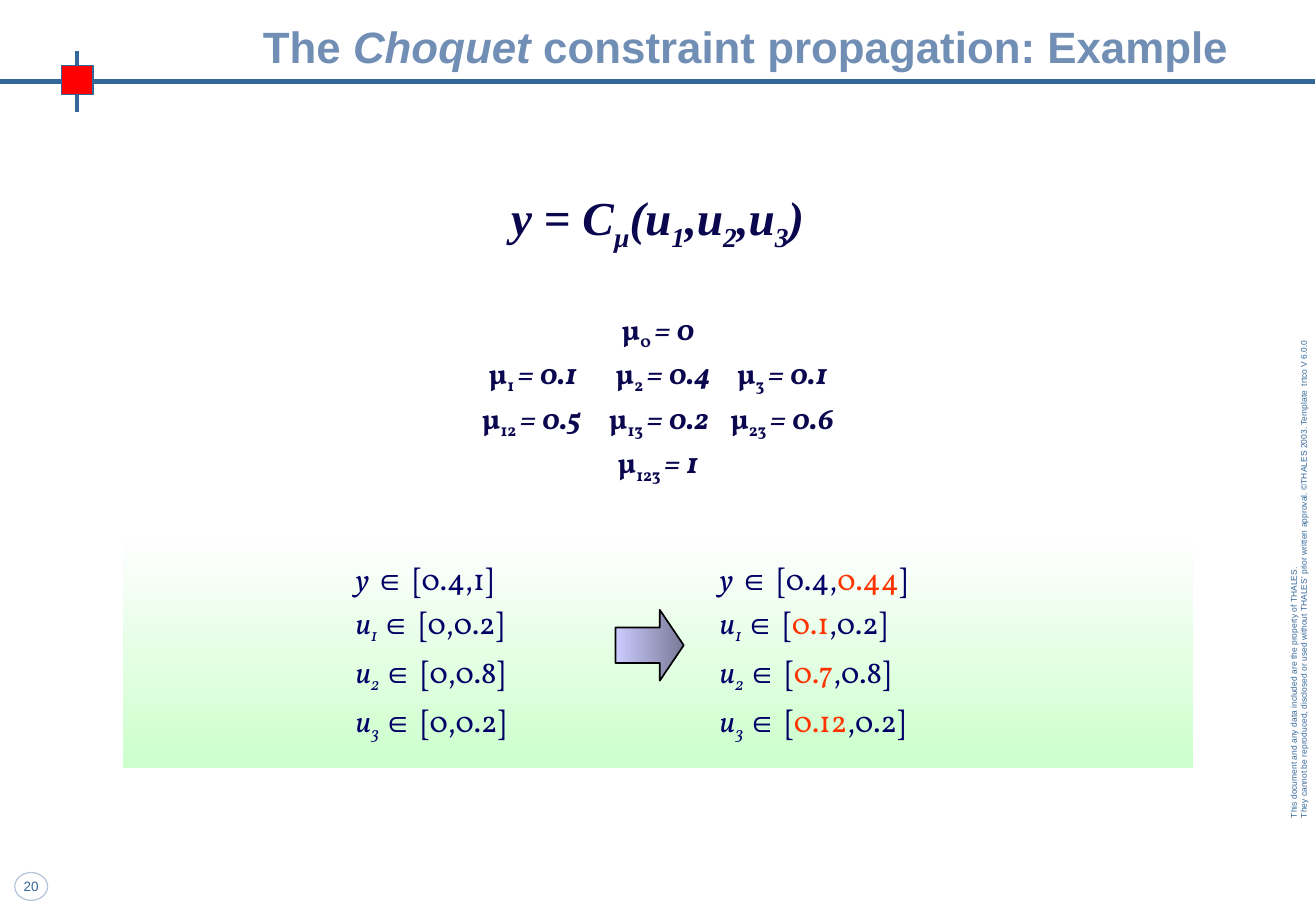
from lxml.etree import SubElement
from pptx import Presentation
from pptx.dml.color import RGBColor
from pptx.enum.shapes import MSO_CONNECTOR, MSO_SHAPE
from pptx.enum.text import MSO_ANCHOR, MSO_AUTO_SIZE, PP_ALIGN
from pptx.oxml.ns import qn
from pptx.util import Pt

WHITE = RGBColor(0xFE, 0xFE, 0xFE)
GREEN = RGBColor(0xCC, 0xFF, 0xCC)
LILAC = RGBColor(0xCC, 0xCC, 0xFF)
SLATE = RGBColor(0x79, 0x79, 0x98)
BLACK = RGBColor(0x00, 0x00, 0x00)
RED = RGBColor(0xFF, 0x00, 0x00)
ORANGE = RGBColor(0xFF, 0x33, 0x00)
STEEL = RGBColor(0x33, 0x66, 0x99)
PALE_STEEL = RGBColor(0xB6, 0xC5, 0xDA)
TITLE_BLUE = RGBColor(0x71, 0x8E, 0xB5)
INDIGO = RGBColor(0x0B, 0x07, 0x4F)
NAVY = RGBColor(0x00, 0x00, 0x66)

TAB_STEP = Pt(72)
SUBSCRIPT = {"baseline": -25000}
ITALIC = {"italic": True}
CAPACITIES = [
    [("0", "0")],
    [("1", "0.1"), ("2", "0.4"), ("3", "0.1")],
    [("12", "0.5"), ("13", "0.2"), ("23", "0.6")],
    [("123", "1")],
]
DOMAINS = [
    ("y", "", "[0.4,1]", ("[0.4,", "0.44", "]")),
    ("u", "1", "[0,0.2]", ("[", "0.1", ",0.2]")),
    ("u", "2", "[0,0.8]", ("[", "0.7", ",0.8]")),
    ("u", "3", "[0,0.2]", ("[", "0.12", ",0.2]")),
]
NOTICE = [
    "This document and any data included are the property of THALES.",
    "They cannot be reproduced, disclosed or used without THALES' prior written "
    "approval. ©THALES 2003. Template  trtco V 6.0.0",
]


def add_span(para, text, font="Arial", size=18, color=BLACK, bold=False,
             italic=False, baseline=0):
    span = para.add_run()
    span.text = text
    span.font.name = font
    span.font.size = Pt(size)
    span.font.bold = bold
    span.font.italic = italic
    span.font.color.rgb = color
    if baseline:
        span.font._element.set("baseline", str(baseline))


def write(box, lines, align=PP_ALIGN.LEFT, spacing=1.0, before=0,
          anchor=MSO_ANCHOR.TOP, **style):
    frame = box.text_frame
    frame.word_wrap = True
    frame.auto_size = MSO_AUTO_SIZE.NONE
    frame.vertical_anchor = anchor
    for index, line in enumerate(lines):
        para = frame.add_paragraph() if index else frame.paragraphs[0]
        para.alignment = align
        para.line_spacing = spacing
        para.space_before = Pt(before if index else 0)
        properties = para._p.get_or_add_pPr()
        properties.set("marL", "0")
        properties.set("indent", "0")
        properties.set("defTabSz", str(int(TAB_STEP)))
        SubElement(properties, qn("a:buNone"))
        for text, changes in line:
            add_span(para, text, **{**style, **changes})


def place(box, left, top, width, height):
    box.left, box.top = Pt(left), Pt(top)
    box.width, box.height = Pt(width), Pt(height)
    return box


def add_box(page, *place_at):
    return page.shapes.add_textbox(*map(Pt, place_at))


def add_line(page, start, end, width):
    line = page.shapes.add_connector(
        MSO_CONNECTOR.STRAIGHT, *map(Pt, (*start, *end)))
    line.line.color.rgb = STEEL
    line.line.width = Pt(width)
    SubElement(line._element.spPr, qn("a:effectLst"))


def add_figure(page, kind, place_at, fill=None, gradient=None, angle=0,
               line=None, width=0.75):
    figure = page.shapes.add_shape(kind, *map(Pt, place_at))
    figure.shadow.inherit = False
    if gradient:
        figure.fill.gradient()
        figure.fill.gradient_angle = angle
        for stop, color in zip(figure.fill.gradient_stops, gradient):
            stop.color.rgb = color
    elif fill:
        figure.fill.solid()
        figure.fill.fore_color.rgb = fill
    else:
        figure.fill.background()
    if line:
        figure.line.color.rgb = line
        figure.line.width = Pt(width)
    else:
        figure.line.fill.background()
    return figure


def add_frame(page):
    add_line(page, (45.5, 30.25), (45.5, 66.25), 2.25)
    add_line(page, (0, 48.25), (780, 48.25), 3)
    add_figure(page, MSO_SHAPE.RECTANGLE, (36.5, 39, 18.75, 17.25), fill=RED,
               line=STEEL)
    notice = add_box(page, 539.3, 251.3, 462, 19.4)
    notice.rotation = 270
    write(notice, [[(text, {})] for text in NOTICE], size=5, color=STEEL)
    number = add_figure(page, MSO_SHAPE.OVAL, (8.75, 517.25, 19.5, 16.5),
                        line=PALE_STEEL)
    frame = number.text_frame
    frame.margin_left = frame.margin_right = Pt(0)
    frame.margin_top = frame.margin_bottom = Pt(0)
    write(number, [[("20", {})]], align=PP_ALIGN.CENTER,
          anchor=MSO_ANCHOR.MIDDLE, size=8, color=STEEL)


def add_formula(page):
    spans = [("y = C", {}), ("µ", SUBSCRIPT), ("(u", {}), ("1", SUBSCRIPT),
             (",u", {}), ("2", SUBSCRIPT), (",u", {}), ("3", SUBSCRIPT), (")", {})]
    write(add_box(page, 258, 108, 264, 45), [spans], align=PP_ALIGN.CENTER,
          font="Times New Roman", size=28, color=INDIGO, bold=True, italic=True)


def capacity_line(row):
    spans = []
    for index, (subset, value) in enumerate(row):
        if index:
            spans.append((" \t ", ITALIC))
        spans += [("µ", {}), (subset + " ", SUBSCRIPT), ("= " + value, ITALIC)]
    return spans


def membership(name, subscript):
    spans = [(name if subscript else name + " ", ITALIC)]
    if subscript:
        spans.append((subscript + " ", {**ITALIC, **SUBSCRIPT}))
    return spans + [("∈ ", {"font": "Arial"})]


def domain_line(name, subscript, initial, reduced):
    before, changed, after = reduced
    return [*membership(name, subscript), (initial + "\t\t", {}),
            *membership(name, subscript), (before, {}),
            (changed, {"color": ORANGE}), (after, {})]


def add_propagation(page):
    add_figure(page, MSO_SHAPE.RECTANGLE, (72.75, 319, 635, 136),
               gradient=(WHITE, GREEN), angle=270)
    write(add_box(page, 203.75, 328.25, 373, 116),
          [domain_line(*domain) for domain in DOMAINS],
          before=4.5, font="Vollkorn", size=18, color=NAVY)
    arrow = add_figure(page, MSO_SHAPE.RIGHT_ARROW, (365, 361.5, 40.5, 42),
                       gradient=(LILAC, SLATE), line=BLACK, width=1)
    arrow.adjustments[0] = 0.5
    arrow.adjustments[1] = 0.35


def main():
    deck = Presentation()
    deck.slide_width = Pt(780.49)
    deck.slide_height = Pt(540)
    page = deck.slides.add_slide(deck.slide_layouts[1])
    title, body = page.placeholders
    add_frame(page)
    write(place(title, 48, 10.5, 688, 33),
          [[("The ", {}), ("Choquet", ITALIC),
            (" constraint propagation: Example", {})]],
          align=PP_ALIGN.RIGHT, anchor=MSO_ANCHOR.MIDDLE, size=26,
          color=TITLE_BLUE, bold=True)
    add_formula(page)
    write(place(body, 198, 178, 384.5, 116),
          [capacity_line(row) for row in CAPACITIES], align=PP_ALIGN.CENTER,
          spacing=1.1, font="Vollkorn", size=17.6, color=INDIGO, bold=True)
    add_propagation(page)
    deck.save("out.pptx")


if __name__ == "__main__":
    main()
